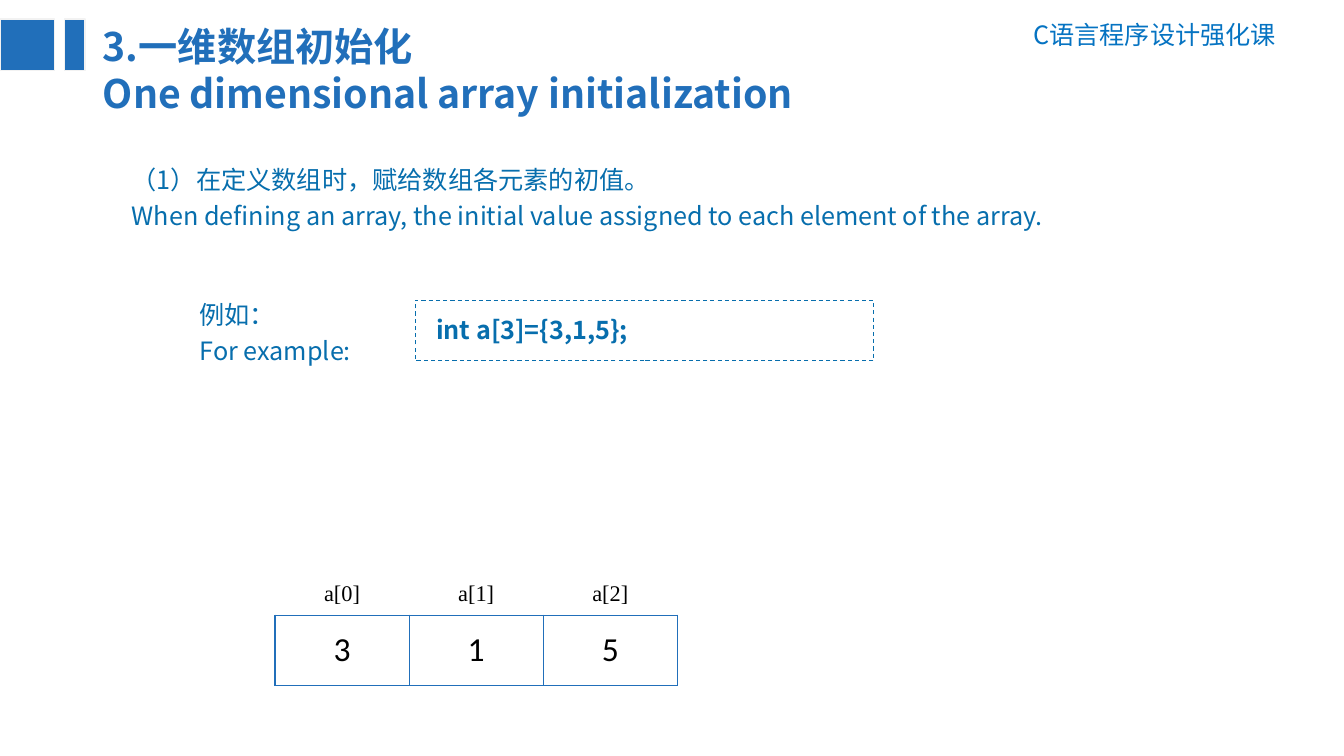
from lxml import etree
from pptx import Presentation
from pptx import util as u
from pptx.dml.color import RGBColor
from pptx.enum import dml, shapes, text
from pptx.oxml.ns import qn

CJK = "Noto Sans CJK SC"
BLUE = "216FBA"
TEXT_BLUE = "076EAD"


def color(value):
    """Turn a hex string into a colour."""
    return RGBColor.from_string(value)


def format_text(tf, size, fill, font=CJK, bold=False, align=text.PP_ALIGN.LEFT,
                spacing=None, hanging=0):
    """Format every paragraph and run of a text frame."""
    for p in tf.paragraphs:
        p.alignment = align
        if spacing:
            p.line_spacing = spacing
        if hanging:
            pPr = p._p.get_or_add_pPr()
            pPr.set("marL", str(u.Cm(hanging)))
            pPr.set("indent", str(-u.Cm(hanging)))
        for r in p.runs:
            r.font.size = u.Pt(size)
            r.font.bold = bold
            r.font.name = font
            r.font.color.rgb = color(fill)
            ea = etree.SubElement(r._r.get_or_add_rPr(), qn("a:ea"))
            ea.set("typeface", font)


def add_title(s, box, content):
    """Place and format the title placeholder."""
    sp = s.shapes.title
    sp.left, sp.top, sp.width, sp.height = map(u.Cm, box)
    tf = sp.text_frame
    tf.text = content
    tf.word_wrap = True
    tf.auto_size = text.MSO_AUTO_SIZE.NONE
    tf.vertical_anchor = text.MSO_ANCHOR.TOP
    format_text(tf, 28, BLUE, bold=True)


def add_text(s, box, content, fill=TEXT_BLUE, **style):
    """Add a wrapping 18 pt text box."""
    tf = s.shapes.add_textbox(*map(u.Cm, box)).text_frame
    tf.word_wrap = True
    tf.text = content
    format_text(tf, 18, fill, **style)


def add_rect(s, box, line, width, fill=None, dash=None):
    """Add a rectangle, filled or only outlined."""
    sp = s.shapes.add_shape(shapes.MSO_SHAPE.RECTANGLE, *map(u.Cm, box))
    sp.shadow.inherit = False
    if fill:
        sp.fill.solid()
        sp.fill.fore_color.rgb = color(fill)
    else:
        sp.fill.background()
    sp.line.color.rgb = color(line)
    sp.line.width = u.Pt(width)
    if dash:
        sp.line.dash_style = dash


def set_borders(cell, sides):
    """Draw the named sides of a cell and clear the others."""
    tcPr = cell._tc.get_or_add_tcPr()
    for i, side in enumerate("LRTB"):
        ln = etree.Element(qn("a:ln" + side), w=str(u.Pt(1)))
        if side in sides:
            fill = etree.SubElement(ln, qn("a:solidFill"))
            etree.SubElement(fill, qn("a:srgbClr"), val=BLUE)
        else:
            etree.SubElement(ln, qn("a:noFill"))
        tcPr.insert(i, ln)


def add_array(s, left, top, col_width, row_heights, values):
    """Add a table with element names above their values."""
    names = [f"a[{i}]" for i in range(len(values))]
    table = s.shapes.add_table(
        2, len(values), u.Cm(left), u.Cm(top),
        u.Cm(col_width * len(values)), u.Cm(sum(row_heights))).table
    table.first_row = table.horz_banding = False
    for col in table.columns:
        col.width = u.Cm(col_width)
    rows = [
        (names, 16, "Times New Roman", None, text.MSO_ANCHOR.TOP, "B"),
        (values, 24, "Calibri", 0.9, text.MSO_ANCHOR.MIDDLE, "LRTB"),
    ]
    for i, (items, size, font, spacing, anchor, sides) in enumerate(rows):
        table.rows[i].height = u.Cm(row_heights[i])
        for j, item in enumerate(items):
            cell = table.cell(i, j)
            cell.text_frame.text = str(item)
            cell.vertical_anchor = anchor
            cell.fill.background()
            set_borders(cell, sides)
            format_text(cell.text_frame, size, "000000", font=font,
                        align=text.PP_ALIGN.CENTER, spacing=spacing)


def main():
    """Build the slide on initialising a one-dimensional array."""
    prs = Presentation()
    prs.slide_width, prs.slide_height = u.Cm(33.87), u.Cm(19.05)
    s = prs.slides.add_slide(prs.slide_layouts[5])
    add_text(s, (24.79, 0.36, 7.62, 1.02), "C语言程序设计强化课", "0573C2",
             align=text.PP_ALIGN.RIGHT)
    add_title(s, (2.34, 0.43, 23.6, 2.64),
              "3.一维数组初始化\nOne dimensional array initialization")
    for left, width in ((0, 1.37), (1.63, 0.51)):
        add_rect(s, (left, 0.48, width, 1.3), "F2F2F2", 1, fill=BLUE)
    add_text(s, (3.07, 3.86, 25.68, 2.03),
             "（1）在定义数组时，赋给数组各元素的初值。\n"
             "When defining an array, the initial value assigned to each "
             "element of the array.", spacing=1.2, hanging=0.97)
    add_text(s, (4.78, 7.26, 10.21, 2.03), "例如：\nFor example:", spacing=1.2)
    add_text(s, (10.74, 7.57, 7.24, 1.24), "int a[3]={3,1,5};",
             bold=True, spacing=1.3)
    add_rect(s, (10.46, 7.57, 11.56, 1.52), TEXT_BLUE, 0.75,
             dash=dml.MSO_LINE.DASH)
    add_array(s, 6.93, 14.53, 3.38, (0.97, 1.78), (3, 1, 5))
    prs.save("out.pptx")


if __name__ == "__main__":
    main()
